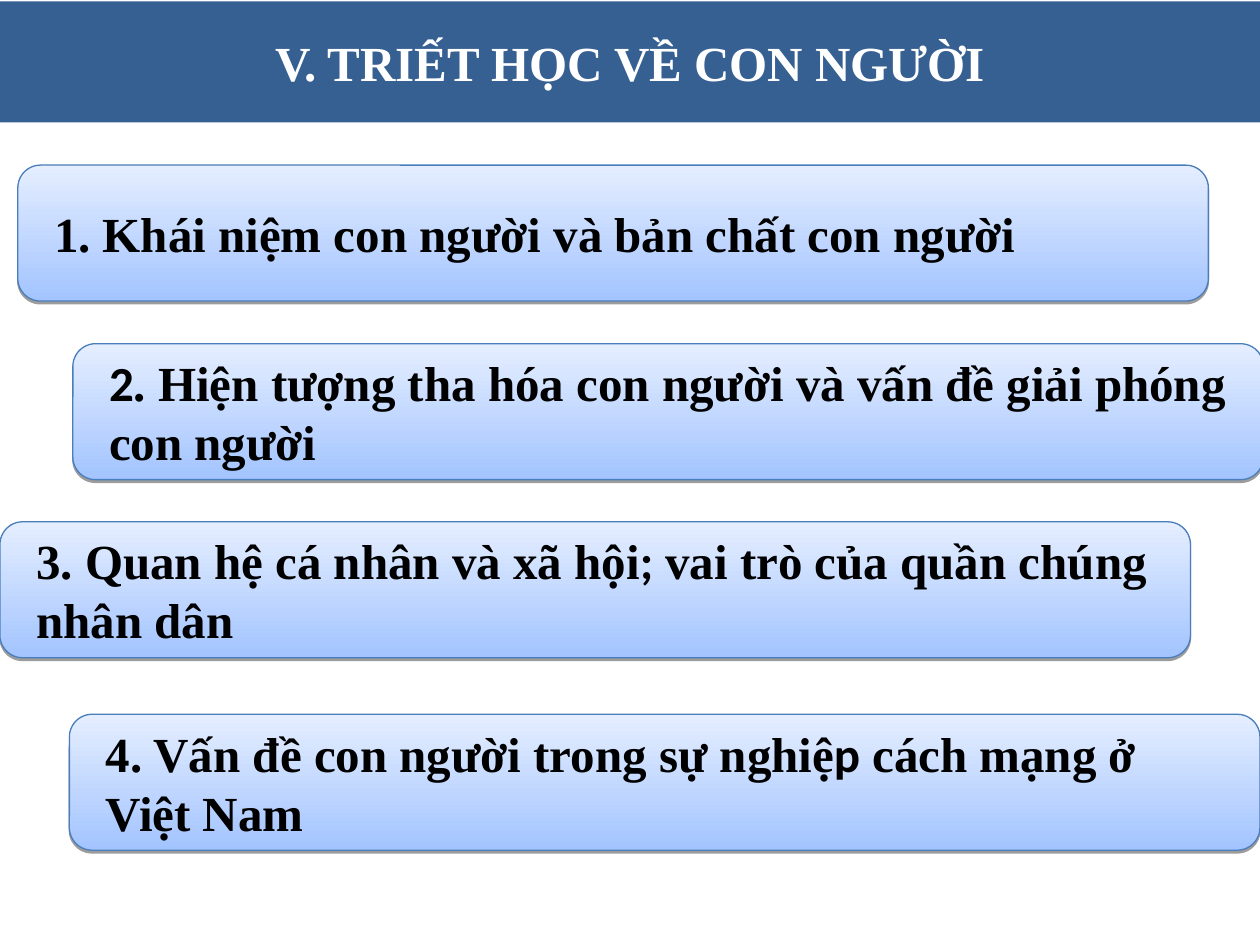
from lxml import etree
from pptx import Presentation
from pptx import util as u
from pptx.dml.color import RGBColor
from pptx.enum import shapes, text
from pptx.oxml import ns

HEX = {"bar": "376092", "low": "A3C4FF", "high": "E5EEFF",
       "edge": "4A7EBB", "ink": "000000", "white": "FFFFFF"}
SERIF, SANS = "Times New Roman", "Calibri"


def rgb(name):
    return RGBColor.from_string(HEX[name])


def style(para, ink):
    para.font.size = u.Pt(28)
    para.font.bold = True
    para.font.color.rgb = rgb(ink)


deck = Presentation()
deck.slide_width, deck.slide_height = u.Cm(25.4), u.Cm(19.05)
slide = deck.slides.add_slide(deck.slide_layouts[5])

# Title bar
bar = slide.shapes.title
bar.left, bar.top, bar.width, bar.height = u.Cm(0), u.Cm(0.03), u.Cm(25.4), u.Cm(2.44)
bar.fill.solid()
bar.fill.fore_color.rgb = rgb("bar")
frame = bar.text_frame
frame.text = "V. TRIẾT HỌC VỀ CON NGƯỜI"
frame.auto_size = text.MSO_AUTO_SIZE.NONE
frame.vertical_anchor = text.MSO_ANCHOR.MIDDLE
para = frame.paragraphs[0]
para.alignment = text.PP_ALIGN.CENTER
style(para, "white")
para.font.name = SERIF

# Topics: left, top, runs with their fonts
topics = [
    (0.36, 3.33, [("1. Khái niệm con người và bản chất con người", SERIF)]),
    (1.47, 6.93, [("2", SANS),
                  (". Hiện tượng tha hóa con người và vấn đề giải phóng con người", SERIF)]),
    (0, 10.52, [("3. Quan hệ cá nhân và xã hội", SERIF), (";", SANS),
                (" vai trò của quần chúng nhân dân", SERIF)]),
    (1.4, 14.4, [("4. Vấn đề con người trong sự nghiệ", SERIF), ("p", SANS),
                 (" cách mạng ở Việt Nam", SERIF)]),
]

for left, top, runs in topics:
    group = slide.shapes.add_group_shape()

    # Rounded card
    card = group.shapes.add_shape(shapes.MSO_SHAPE.ROUNDED_RECTANGLE,
                                  u.Cm(left), u.Cm(top), u.Cm(24), u.Cm(2.74))
    card.fill.gradient()
    card.fill.gradient_angle = 90
    for stop, name in zip(card.fill.gradient_stops, ("low", "high")):
        stop.color.rgb = rgb(name)
    card.line.color.rgb = rgb("edge")
    card.line.width = u.Pt(0.75)

    # Thin shadow below the card
    card.shadow.inherit = False
    effects = card.element.spPr.find(ns.qn("a:effectLst"))
    shade = etree.SubElement(effects, ns.qn("a:outerShdw"), blurRad="0",
                             dist=str(u.Pt(1.6)), dir="5400000", rotWithShape="0")
    tone = etree.SubElement(shade, ns.qn("a:srgbClr"), val=HEX["ink"])
    etree.SubElement(tone, ns.qn("a:alpha"), val="38000")

    # Topic text
    box = group.shapes.add_textbox(u.Cm(left + 0.15), u.Cm(top + 0.13),
                                   u.Cm(23.7), u.Cm(2.48))
    frame = box.text_frame
    frame.word_wrap = True
    frame.vertical_anchor = text.MSO_ANCHOR.MIDDLE
    frame.margin_left = frame.margin_right = u.Cm(0.58)
    frame.margin_top = frame.margin_bottom = 0
    para = frame.paragraphs[0]
    style(para, "ink")
    for words, font in runs:
        run = para.add_run()
        run.text = words
        run.font.name = font

deck.save("out.pptx")
